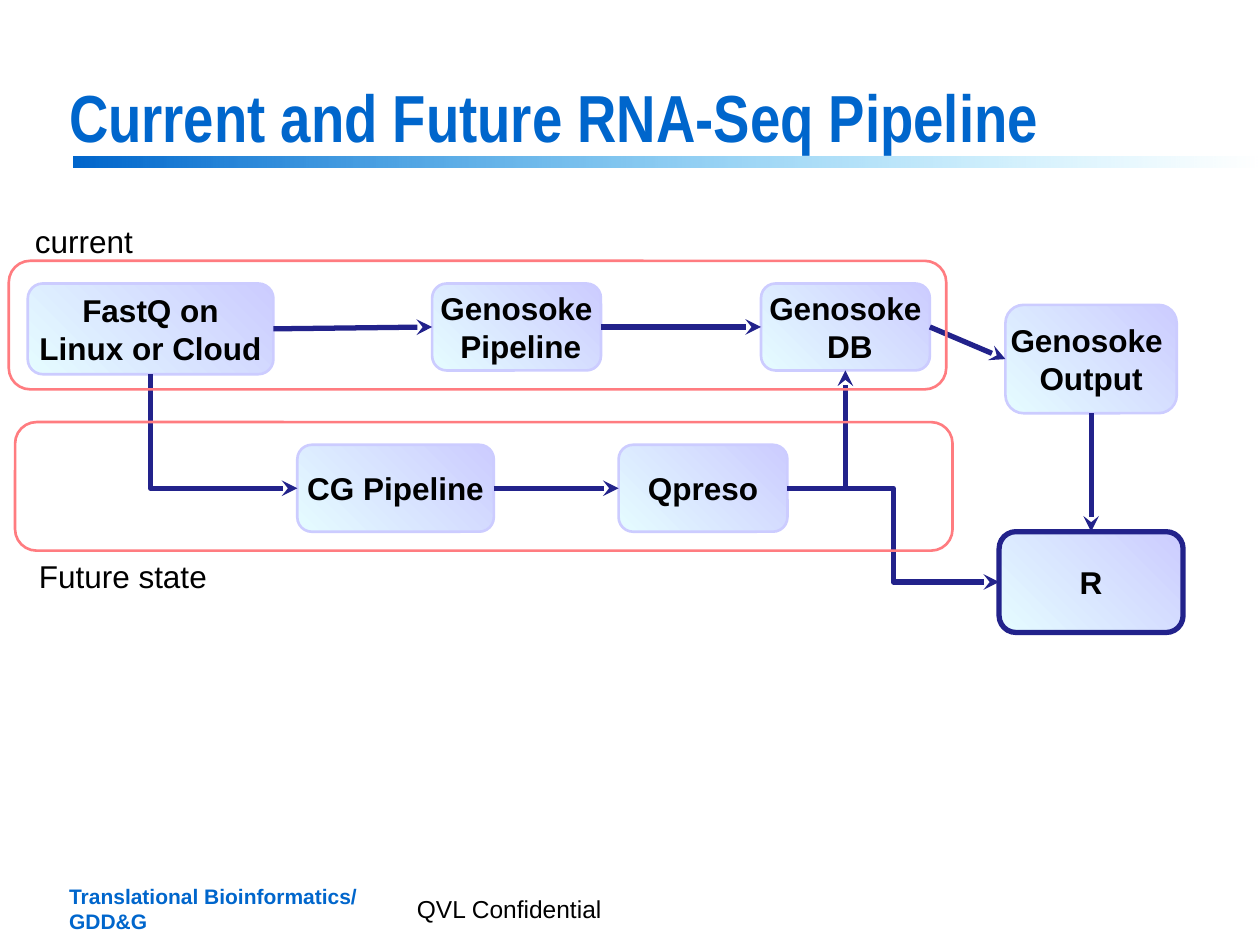
from lxml import etree
from pptx import Presentation
from pptx.dml.color import RGBColor
from pptx.enum.shapes import MSO_CONNECTOR, MSO_SHAPE
from pptx.enum.text import MSO_ANCHOR, PP_ALIGN
from pptx.oxml.ns import qn
from pptx.util import Inches, Pt

STRAIGHT, ELBOW = MSO_CONNECTOR.STRAIGHT, MSO_CONNECTOR.ELBOW
RECTANGLE, ROUNDED = MSO_SHAPE.RECTANGLE, MSO_SHAPE.ROUNDED_RECTANGLE
TOP, MIDDLE, BOTTOM = MSO_ANCHOR.TOP, MSO_ANCHOR.MIDDLE, MSO_ANCHOR.BOTTOM
LEFT, CENTER = PP_ALIGN.LEFT, PP_ALIGN.CENTER
SIDE_TOP, SIDE_LEFT, SIDE_BOTTOM, SIDE_RIGHT = range(4)

COLORS = {
    "title": "0066CC",
    "bar_end": "33CCFF",
    "text": "000000",
    "node_start": "E5FCFF",
    "node_end": "CCCCFF",
    "arrow": "22228B",
    "frame": "FF7C80",
}

NODES = {
    "fastq": (0.22, 2.25, 1.95, 0.72, "FastQ on\nLinux or Cloud"),
    "pipeline": (3.43, 2.25, 1.34, 0.69, "Genosoke\n Pipeline"),
    "database": (6.04, 2.25, 1.34, 0.69, "Genosoke\n DB"),
    "output": (7.98, 2.42, 1.36, 0.86, "Genosoke \nOutput"),
    "cg": (2.36, 3.53, 1.56, 0.69, "CG Pipeline"),
    "express": (4.91, 3.53, 1.34, 0.69, "Qpreso"),
    "r": (7.93, 4.22, 1.46, 0.8, "R"),
}

STRAIGHT_LINKS = [
    ("fastq", SIDE_RIGHT, "pipeline", SIDE_LEFT),
    ("pipeline", SIDE_RIGHT, "database", SIDE_LEFT),
    ("database", SIDE_RIGHT, "output", SIDE_LEFT),
    ("cg", SIDE_RIGHT, "express", SIDE_LEFT),
    ("output", SIDE_BOTTOM, "r", SIDE_TOP),
]


def color(name):
    return RGBColor.from_string(COLORS[name])


def write(shape, text, size=18, font="Arial", ink="text", bold=False,
          align=LEFT, anchor=TOP, wrap=False, spacing=None, inset=None):
    frame = shape.text_frame
    frame.word_wrap = wrap
    frame.vertical_anchor = anchor
    if inset is not None:
        frame.margin_left = frame.margin_right = Inches(inset)
        frame.margin_top = frame.margin_bottom = Inches(inset)
    for index, line in enumerate(text.split("\n")):
        para = frame.add_paragraph() if index else frame.paragraphs[0]
        para.alignment = align
        if spacing:
            para.line_spacing = spacing
        span = para.add_run()
        span.text = line
        span.font.size = Pt(size)
        span.font.name = font
        span.font.bold = bold
        span.font.color.rgb = color(ink)


def add_text(page, area, text, **style):
    box = page.shapes.add_textbox(*map(Inches, area))
    write(box, text, **style)


def add_block(page, area, kind):
    block = page.shapes.add_shape(kind, *map(Inches, area))
    block.shadow.inherit = False
    return block


def fill_gradient(shape, start, end, angle):
    shape.fill.gradient()
    shape.fill.gradient_angle = angle
    for stop, name in zip(shape.fill.gradient_stops, (start, end)):
        stop.color.rgb = color(name)


def set_line(shape, name, width):
    shape.line.color.rgb = color(name)
    shape.line.width = Pt(width)


def add_node(page, area, text, border="node_end", width=1.5):
    node = add_block(page, area, ROUNDED)
    fill_gradient(node, "node_start", "node_end", 45)
    set_line(node, border, width)
    write(node, text, bold=True, align=CENTER, anchor=MIDDLE, inset=0)
    return node


def add_arrow(page, kind, start, start_side, end, end_side):
    arrow = page.shapes.add_connector(kind, 0, 0, 0, 0)
    arrow.begin_connect(start, start_side)
    arrow.end_connect(end, end_side)
    set_line(arrow, "arrow", 3)
    tail = etree.SubElement(arrow.line._get_or_add_ln(), qn("a:tailEnd"))
    tail.set("type", "stealth")
    etree.SubElement(arrow._element.spPr, qn("a:effectLst"))
    return arrow


def make_single_bend(arrow, down_first=False):
    properties = arrow._element.spPr
    properties.find(qn("a:prstGeom")).set("prst", "bentConnector2")
    if down_first:
        width, height = arrow.width, arrow.height
        shift = (width - height) // 2
        arrow.left, arrow.top = arrow.left + shift, arrow.top - shift
        arrow.width, arrow.height = height, width
        transform = properties.find(qn("a:xfrm"))
        transform.set("rot", "16200000")
        transform.set("flipH", "1")


def add_frame(page, area):
    frame = add_block(page, area, ROUNDED)
    frame.fill.background()
    set_line(frame, "frame", 1.5)


def add_header(page, left, top, width, height):
    bar = add_block(page, (left + 0.13, top + 0.59, 10 - left - 0.13, 0.09), RECTANGLE)
    fill_gradient(bar, "title", "bar_end", 0)
    bar.line.fill.background()
    last_color = list(bar._element.spPr.iter(qn("a:srgbClr")))[-1]
    etree.SubElement(last_color, qn("a:alpha")).set("val", "0")
    add_text(page, (left, top, width, height), "Current and Future RNA-Seq Pipeline",
             size=38, font="Arial Narrow", ink="title", bold=True,
             anchor=BOTTOM, wrap=True, spacing=0.85)


def add_footer(page, left, top, width, height):
    add_text(page, (left, top, width, height), "Translational Bioinformatics/\nGDD&G",
             size=12, ink="title", bold=True, anchor=MIDDLE)
    add_text(page, (left + 2.76, top + 0.09, 3.58, 0.33), "QVL Confidential",
             size=14, anchor=MIDDLE, wrap=True)


def add_flow(page, left, top):
    nodes = {}
    for name, (x, y, width, height, text) in NODES.items():
        style = {"border": "arrow", "width": 3} if name == "r" else {}
        nodes[name] = add_node(page, (x, y, width, height), text, **style)
    for start, start_side, end, end_side in STRAIGHT_LINKS:
        add_arrow(page, STRAIGHT, nodes[start], start_side, nodes[end], end_side)
    to_cg = add_arrow(page, ELBOW, nodes["fastq"], SIDE_BOTTOM, nodes["cg"], SIDE_LEFT)
    make_single_bend(to_cg, down_first=True)
    to_database = add_arrow(page, ELBOW, nodes["express"], SIDE_RIGHT,
                            nodes["database"], SIDE_BOTTOM)
    make_single_bend(to_database)
    add_arrow(page, ELBOW, nodes["express"], SIDE_RIGHT, nodes["r"], SIDE_LEFT)
    add_frame(page, (left, top, 7.44, 1.02))
    add_frame(page, (left + 0.05, top + 1.28, 7.44, 1.02))
    add_text(page, (left + 0.1, top - 0.36, 0.99, 0.4), "current", align=CENTER)
    add_text(page, (left + 0.13, top + 2.3, 1.55, 0.4), "Future state", align=CENTER)


def main():
    deck = Presentation()
    deck.slide_width, deck.slide_height = Inches(10), Inches(7.5)
    page = deck.slides.add_slide(deck.slide_layouts[6])
    add_header(page, 0.45, 0.65, 9.19, 0.64)
    add_footer(page, 0.45, 6.96, 2.51, 0.5)
    add_flow(page, 0.07, 2.07)
    deck.save("out.pptx")


if __name__ == "__main__":
    main()
